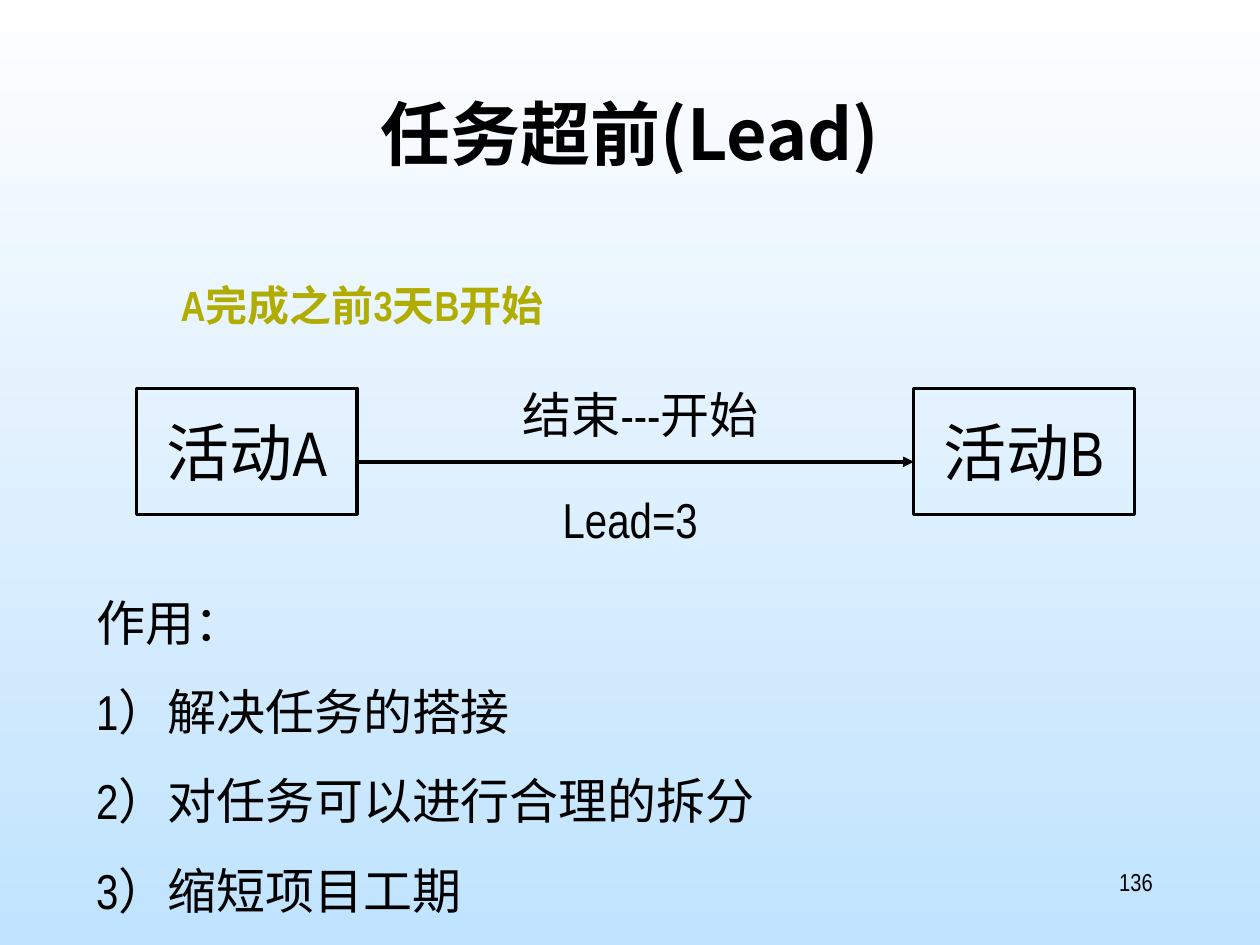
from lxml.etree import SubElement
from pptx import Presentation
from pptx.dml.color import RGBColor
from pptx.enum.shapes import MSO_CONNECTOR, MSO_SHAPE
from pptx.enum.text import MSO_ANCHOR, PP_ALIGN
from pptx.oxml.ns import qn
from pptx.util import Cm, Pt

COLORS = {"top": "FEFEFE", "bottom": "C0E3FE", "text": "000000", "accent": "B0AC00"}
BODY_FONT = "Arial Narrow"
TITLE_FONT = "Noto Sans CJK SC"


def rgb(name):
    """Return the named colour."""
    return RGBColor.from_string(COLORS[name])


def write(shape, lines, size, align=PP_ALIGN.CENTER, color="text", bold=False,
          font=BODY_FONT, gap=0, anchor=MSO_ANCHOR.TOP, wrap=True):
    """Fill a shape with formatted lines of text."""
    frame = shape.text_frame
    frame.text = "\n".join(lines)
    frame.word_wrap = wrap
    frame.vertical_anchor = anchor
    for index, paragraph in enumerate(frame.paragraphs):
        paragraph.alignment = align
        paragraph.space_before = Pt(gap if index else 0)
        for run in paragraph.runs:
            run.font.size = Pt(size)
            run.font.bold = bold
            run.font.color.rgb = rgb(color)
            run.font.name = font
            SubElement(run._r.get_or_add_rPr(), qn("a:ea"), typeface=font)


def paint_background(slide):
    """Give the slide a vertical gradient."""
    fill = slide.background.fill
    fill.gradient()
    fill.gradient_angle = 270
    for stop, name, position in zip(fill.gradient_stops, ("top", "bottom"), (0, 1)):
        stop.color.rgb = rgb(name)
        stop.position = position


def add_title(slide, text):
    """Place and format the title placeholder."""
    title = slide.shapes.title
    title.left, title.top, title.width, title.height = Cm(1.9), Cm(1.7), Cm(21.6), Cm(3.18)
    write(title, [text], 40, bold=True, font=TITLE_FONT)


def add_label(slide, box, lines, size, **style):
    """Add a text box at a left, top, width, height in centimetres."""
    label = slide.shapes.add_textbox(*map(Cm, box))
    write(label, lines, size, **style)


def add_activity(slide, left, text):
    """Add an outlined activity box."""
    activity = slide.shapes.add_shape(MSO_SHAPE.RECTANGLE, Cm(left), Cm(7.83), Cm(4.45), Cm(2.54))
    activity.shadow.inherit = False
    activity.fill.background()
    activity.line.color.rgb = rgb("text")
    activity.line.width = Pt(2)
    write(activity, [text], 36, anchor=MSO_ANCHOR.MIDDLE, wrap=False)
    return activity


def add_arrow(slide, source, target):
    """Draw an arrow from one activity to the next."""
    y = Cm(9.31)
    arrow = slide.shapes.add_connector(
        MSO_CONNECTOR.STRAIGHT, source.left + source.width, y, target.left, y)
    arrow.line.color.rgb = rgb("text")
    arrow.line.width = Pt(2)
    SubElement(arrow.line._get_or_add_ln(), qn("a:tailEnd"), type="triangle")
    SubElement(arrow._element.spPr, qn("a:effectLst"))


def main():
    """Build and save the slide."""
    presentation = Presentation()
    presentation.slide_width, presentation.slide_height = Cm(25.4), Cm(19.05)
    slide = presentation.slides.add_slide(presentation.slide_layouts[5])
    paint_background(slide)
    add_title(slide, "任务超前(Lead)")
    first = add_activity(slide, 2.75, "活动A")
    second = add_activity(slide, 18.42, "活动B")
    add_arrow(slide, first, second)
    add_label(slide, (8.68, 7.62, 8.47, 1.45), ["结束---开始"], 28)
    add_label(slide, (8.47, 9.74, 8.47, 1.45), ["Lead=3"], 28)
    add_label(slide, (1.48, 5.5, 11.64, 1.27), ["A完成之前3天B开始"], 24, color="accent", bold=True)
    effects = ["作用：", "1）解决任务的搭接", "2）对任务可以进行合理的拆分", "3）缩短项目工期"]
    add_label(slide, (1.69, 11.81, 17.36, 8.65), effects, 28, align=PP_ALIGN.LEFT, gap=17.5)
    add_label(slide, (18.2, 17.36, 5.29, 1.27), ["136"], 14, align=PP_ALIGN.RIGHT)
    presentation.save("out.pptx")


if __name__ == "__main__":
    main()
